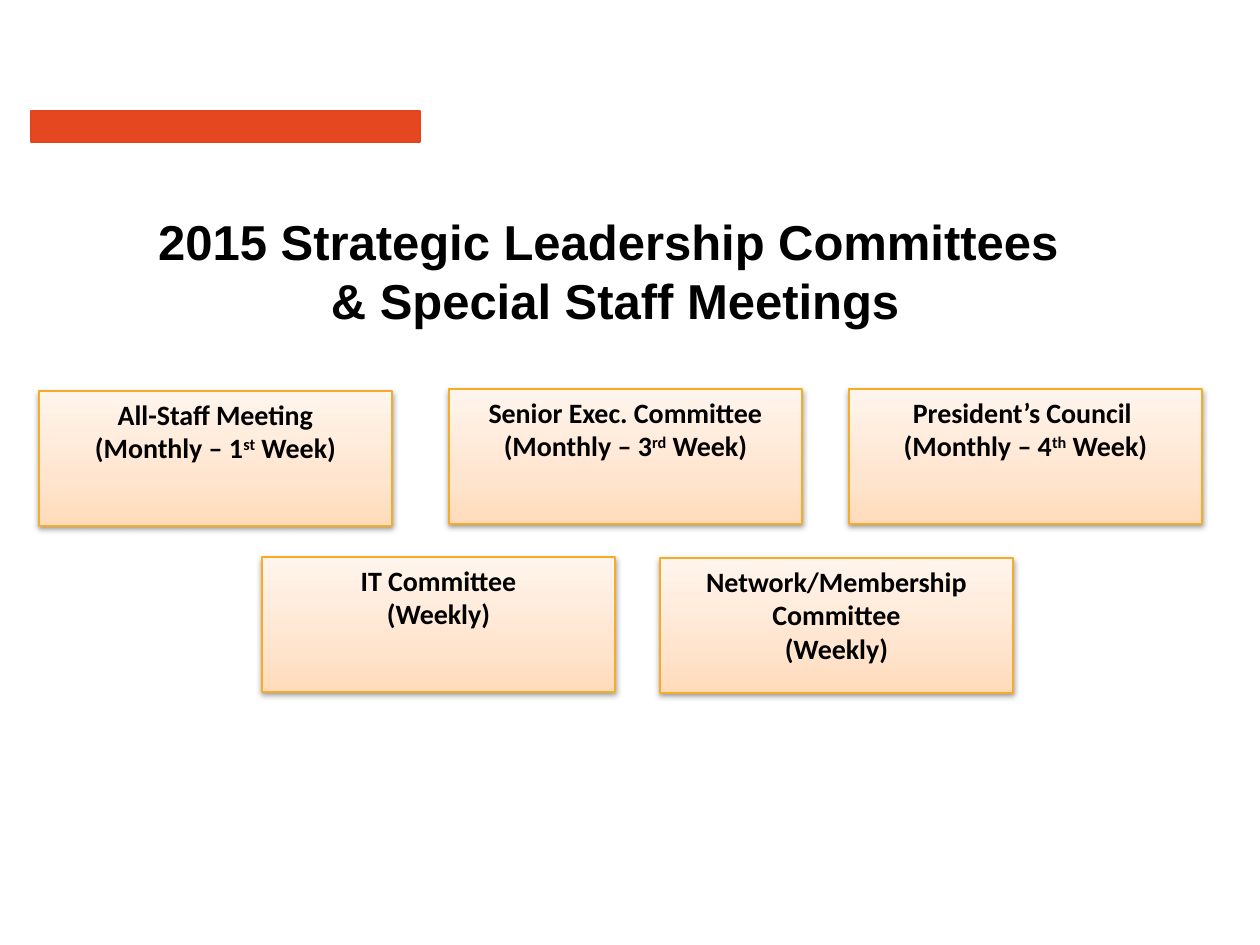
import lxml.etree
import pptx
import pptx.dml.color
import pptx.enum.shapes
import pptx.enum.text
import pptx.oxml
import pptx.oxml.ns
import pptx.util

RGBColor = pptx.dml.color.RGBColor
PX = 914400 / 126  # EMU in one px

BLACK = RGBColor(0x00, 0x00, 0x00)
BAR_FILL = RGBColor(0xE5, 0x47, 0x21)
BAR_LINE = RGBColor(0xE5, 0x43, 0x1B)
CARD_LINE = RGBColor(0xF6, 0xAC, 0x28)
PEACH = RGBColor(0xFF, 0xDB, 0xBA)
PALE_PEACH = RGBColor(0xFF, 0xE5, 0xCF)
CREAM = RGBColor(0xFF, 0xF5, 0xED)

CARD_STOPS = ((0, PEACH), (35, PALE_PEACH), (100, CREAM))
CARD_W, CARD_H = 353, 135
TITLE_FONT = {"name": "Arial", "size": pptx.util.Pt(28), "bold": True}
CARD_FONT = {"name": "Calibri", "size": pptx.util.Pt(16), "bold": True}

TITLE = ("2015 Strategic Leadership Committees ", "& Special Staff Meetings")
# Left, top, then lines; a tuple line holds text, superscript, text
CARDS = (
    (39, 391, ("All-Staff Meeting", ("(Monthly – 1", "st", " Week)"))),
    (262, 557, ("IT Committee", "(Weekly)")),
    (849, 389, ("President’s Council ", ("(Monthly – 4", "th", " Week)"))),
    (449, 389, ("Senior Exec. Committee", ("(Monthly – 3", "rd", " Week)"))),
    (660, 558, ("Network/Membership Committee", "(Weekly)")),
)


def emu(*lengths):
    return [pptx.util.Emu(round(n * PX)) for n in lengths]


def write_lines(tf, lines, font):
    tf.word_wrap = True
    tf.vertical_anchor = pptx.enum.text.MSO_ANCHOR.TOP
    for i, line in enumerate(lines):
        p = tf.add_paragraph() if i else tf.paragraphs[0]
        p.alignment = pptx.enum.text.PP_ALIGN.CENTER
        parts = (line,) if isinstance(line, str) else line
        for j, text in enumerate(parts):
            r = p.add_run()
            r.text = text
            for name, value in font.items():
                setattr(r.font, name, value)
            r.font.color.rgb = BLACK
            if j == 1:
                r.font._element.set("baseline", "30000")


def add_box(s, box, line):
    sp = s.shapes.add_shape(pptx.enum.shapes.MSO_SHAPE.RECTANGLE, *emu(*box))
    sp.shadow.inherit = False
    sp.line.color.rgb = line
    sp.line.width = pptx.util.Pt(0.75)
    return sp


def add_bar(s, box):
    sp = add_box(s, box, BAR_LINE)
    sp.fill.solid()
    sp.fill.fore_color.rgb = BAR_FILL


def add_title(s, box):
    tf = s.shapes.add_textbox(*emu(*box)).text_frame
    write_lines(tf, TITLE, TITLE_FONT)


def add_card(s, box, lines):
    sp = add_box(s, box, CARD_LINE)
    write_lines(sp.text_frame, lines, CARD_FONT)
    ns = pptx.oxml.ns.nsdecls("a")
    qn = pptx.oxml.ns.qn
    spPr = sp._element.spPr

    # Three-stop gradient, running upwards
    stops = "".join(
        f'<a:gs pos="{pos * 1000}"><a:srgbClr val="{color}"/></a:gs>'
        for pos, color in CARD_STOPS)
    spPr.find(qn("a:ln")).addprevious(pptx.oxml.parse_xml(
        f'<a:gradFill {ns} rotWithShape="1"><a:gsLst>{stops}</a:gsLst>'
        '<a:lin ang="16200000" scaled="0"/></a:gradFill>'))

    # Soft shadow below
    spPr.find(qn("a:effectLst")).append(pptx.oxml.parse_xml(
        f'<a:outerShdw {ns} blurRad="40000" dist="20000" dir="5400000" '
        f'rotWithShape="0"><a:srgbClr val="{BLACK}"><a:alpha val="38000"/>'
        '</a:srgbClr></a:outerShdw>'))


def main():
    prs = pptx.Presentation()
    prs.slide_width, prs.slide_height = emu(1260, 945)
    s = prs.slides.add_slide(prs.slide_layouts[6])
    add_bar(s, (31, 111, 389, 31))
    add_title(s, (107, 205, 1016, 131))
    for left, top, lines in CARDS:
        add_card(s, (left, top, CARD_W, CARD_H), lines)
    prs.save("out.pptx")


if __name__ == "__main__":
    main()
